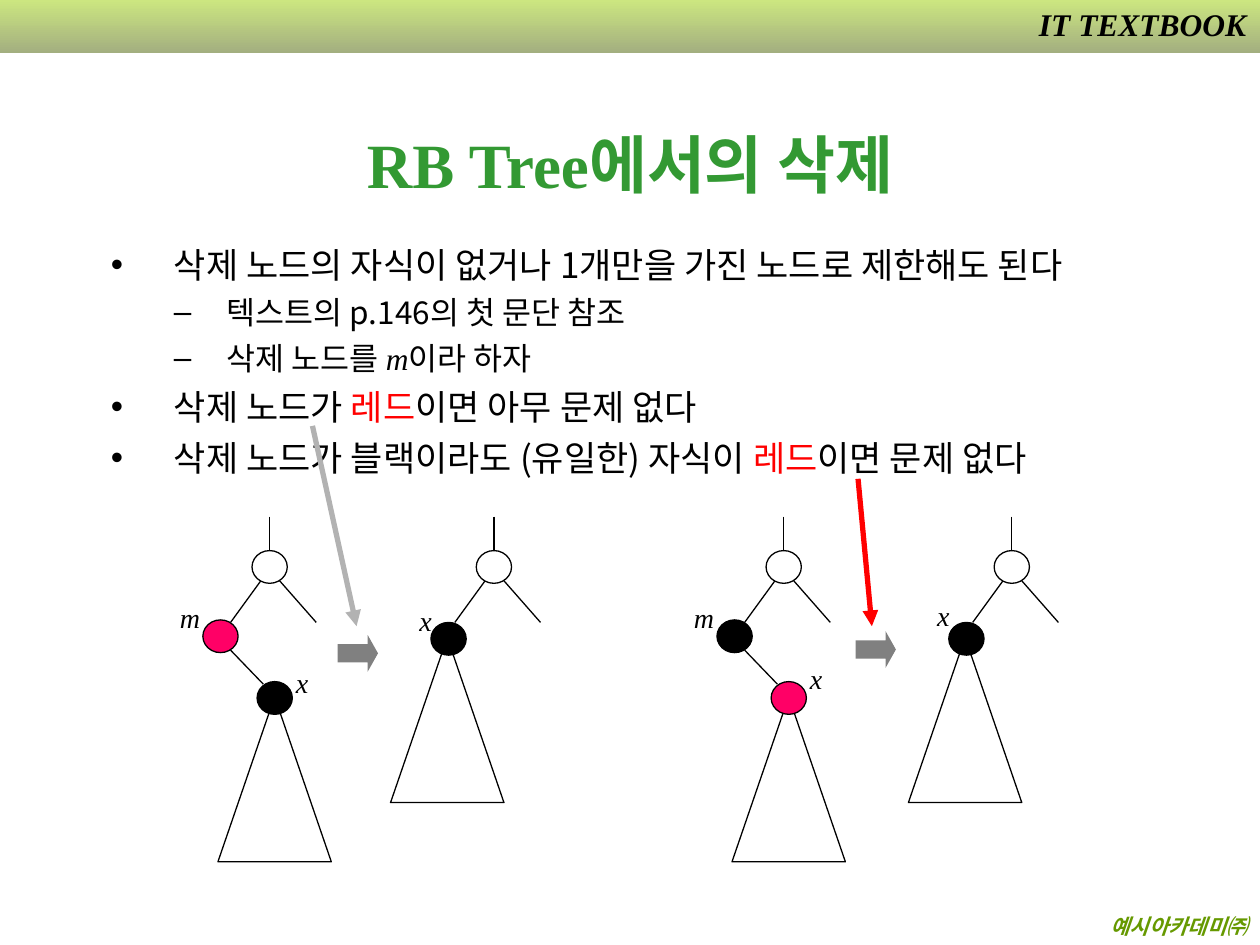
from dataclasses import dataclass

from lxml.etree import SubElement
from pptx import Presentation
from pptx.dml.color import RGBColor
from pptx.enum.shapes import MSO_CONNECTOR, MSO_SHAPE
from pptx.enum.text import MSO_ANCHOR, MSO_AUTO_SIZE, PP_ALIGN
from pptx.oxml import parse_xml
from pptx.oxml.ns import nsdecls, qn
from pptx.util import Inches, Pt

SERIF = "Times New Roman"
SANS = "Noto Sans CJK KR"
BLACK = "000000"
WHITE = "FFFFFF"
RED = "FF0000"
PINK = "FF0066"
NODE_WIDTH = 0.28
NODE_HEIGHT = 0.26
STEM_TOP = 4.1
ROOT_TOP = 4.37


@dataclass
class Item:
    level: int
    pieces: list


@dataclass
class Deletion:
    before_left: float
    after_left: float
    arrow_left: float
    arrow_top: float
    deleted_fill: str
    child_fill: str
    child_label_top: float
    after_label_top: float


ITEMS = [
    Item(0, ["삭제 노드의 자식이 없거나 1개만을 가진 노드로 제한해도 된다"]),
    Item(1, ["텍스트의 p.146의 첫 문단 참조"]),
    Item(1, ["삭제 노드를 ", "m", "이라 하자"]),
    Item(0, ["삭제 노드가 ", "레드", "이면 아무 문제 없다"]),
    Item(0, ["삭제 노드가 블랙이라도 (유일한) 자식이 ", "레드", "이면 문제 없다"]),
]
LEVELS = [(20, 0.5, -0.5, 5), (18, 0.92, -0.42, 4.5)]
DELETIONS = [
    Deletion(2.0, 3.78, 2.68, 5.04, PINK, BLACK, 5.23, 4.74),
    Deletion(6.08, 7.89, 6.79, 5.01, BLACK, PINK, 5.2, 4.7),
]


def color(value: str) -> RGBColor:
    return RGBColor.from_string(value)


def place(shape, left: float, top: float, width: float, height: float) -> None:
    shape.left, shape.top = Inches(left), Inches(top)
    shape.width, shape.height = Inches(width), Inches(height)


def style(paragraph, size: float, name: str, value: str, bold=False, italic=False) -> None:
    font = paragraph.font
    font.size, font.name = Pt(size), name
    font.bold, font.italic = bold, italic
    font.color.rgb = color(value)
    properties = paragraph._p.pPr.find(qn("a:defRPr"))
    SubElement(properties, qn("a:ea")).set("typeface", SANS)


def add_text(slide, text: str, left: float, top: float, width: float, height: float):
    box = slide.shapes.add_textbox(Inches(left), Inches(top), Inches(width), Inches(height))
    box.text_frame.word_wrap = True
    paragraph = box.text_frame.paragraphs[0]
    paragraph.text = text
    return paragraph


def add_label(slide, text: str, left: float, top: float) -> None:
    style(add_text(slide, text, left, top, 0.3, 0.37), 16, SERIF, BLACK, italic=True)


def add_preset(slide, kind, left: float, top: float, width: float, height: float, fill=None, line=None):
    shape = slide.shapes.add_shape(kind, Inches(left), Inches(top), Inches(width), Inches(height))
    shape.shadow.inherit = False
    if fill:
        shape.fill.solid()
        shape.fill.fore_color.rgb = color(fill)
    else:
        shape.fill.background()
    if line:
        shape.line.color.rgb = color(line)
        shape.line.width = Pt(0.75)
    else:
        shape.line.fill.background()
    return shape


def add_node(slide, left: float, top: float, fill: str) -> None:
    add_preset(slide, MSO_SHAPE.OVAL, left, top, NODE_WIDTH, NODE_HEIGHT, fill, BLACK)


def add_subtree(slide, left: float, top: float) -> None:
    add_preset(slide, MSO_SHAPE.ISOSCELES_TRIANGLE, left, top, 0.9, 1.31, line=BLACK)


def add_line(slide, start: tuple, end: tuple, value=BLACK, width=0.75, arrow=False) -> None:
    connector = slide.shapes.add_connector(
        MSO_CONNECTOR.STRAIGHT, *(Inches(number) for number in start + end)
    )
    connector.line.color.rgb = color(value)
    connector.line.width = Pt(width)
    properties = connector._element.spPr
    if arrow:
        SubElement(properties.find(qn("a:ln")), qn("a:tailEnd")).set("type", "triangle")
    SubElement(properties, qn("a:effectLst"))


def add_root(slide, left: float) -> None:
    add_node(slide, left, ROOT_TOP, WHITE)
    add_line(slide, (left + 0.14, STEM_TOP), (left + 0.14, ROOT_TOP))
    add_line(slide, (left + 0.07, 4.61), (left - 0.17, 4.94))
    add_line(slide, (left + 0.22, 4.61), (left + 0.51, 4.94))


def add_deletion(slide, deletion: Deletion) -> None:
    before, after = deletion.before_left, deletion.after_left
    add_node(slide, before - 0.39, 4.92, deletion.deleted_fill)
    add_subtree(slide, before - 0.27, 5.53)
    add_node(slide, before + 0.04, 5.41, deletion.child_fill)
    add_root(slide, before)
    add_line(slide, (before - 0.17, 5.16), (before + 0.09, 5.43))
    add_label(slide, "m", before - 0.67, 4.72)
    add_label(slide, "x", before + 0.25, deletion.child_label_top)

    add_subtree(slide, after - 0.68, 5.06)
    add_node(slide, after - 0.36, 4.94, BLACK)
    add_root(slide, after)
    add_label(slide, "x", after - 0.55, deletion.after_label_top)

    arrow = add_preset(
        slide, MSO_SHAPE.RIGHT_ARROW, deletion.arrow_left, deletion.arrow_top, 0.32, 0.29, "808080"
    )
    arrow.adjustments[1] = 0.28


def add_banner(slide) -> None:
    band = add_preset(slide, MSO_SHAPE.RECTANGLE, 0, 0, 10, 0.42)
    band.fill.gradient()
    band.fill.gradient_angle = 270
    for stop, value in zip(band.fill.gradient_stops, ("CCE680", "A3AF80")):
        stop.color.rgb = color(value)
    footer = add_text(slide, "예시아카데미㈜", 0.06, 7.2, 9.94, 0.3)
    footer.alignment = PP_ALIGN.RIGHT
    style(footer, 12, SERIF, "669900", bold=True, italic=True)
    series = add_text(slide, "IT TEXTBOOK", 7.88, -0.01, 2.11, 0.4)
    series.alignment = PP_ALIGN.RIGHT
    style(series, 18, SERIF, BLACK, bold=True, italic=True)
    shadow = parse_xml(
        f'<a:effectLst {nsdecls("a")}><a:outerShdw dist="17961" dir="2700000">'
        f'<a:srgbClr val="{WHITE}"/></a:outerShdw></a:effectLst>'
    )
    series.runs[0]._r.get_or_add_rPr().append(shadow)


def fill_title(title) -> None:
    place(title, 0.75, 0.67, 8.5, 1.25)
    frame = title.text_frame
    frame.auto_size = MSO_AUTO_SIZE.NONE
    frame.vertical_anchor = MSO_ANCHOR.MIDDLE
    paragraph = frame.paragraphs[0]
    paragraph.text = "RB Tree에서의 삭제"
    paragraph.alignment = PP_ALIGN.CENTER
    style(paragraph, 36, SERIF, "339933", bold=True)


def fill_body(body) -> None:
    place(body, 0.78, 1.88, 8.54, 2.01)
    frame = body.text_frame
    frame.auto_size = MSO_AUTO_SIZE.NONE
    for index, item in enumerate(ITEMS):
        paragraph = frame.add_paragraph() if index else frame.paragraphs[0]
        size, margin, indent, space = LEVELS[item.level]
        paragraph.level = item.level
        paragraph.space_before = Pt(space if index else 0)
        properties = paragraph._p.get_or_add_pPr()
        properties.set("marL", str(Inches(margin)))
        properties.set("indent", str(Inches(indent)))
        style(paragraph, size, SANS, BLACK)
        for piece in item.pieces:
            run = paragraph.add_run()
            run.text = piece
            if piece == "m":
                run.font.name, run.font.italic = SERIF, True
            elif piece == "레드":
                run.font.color.rgb = color(RED)


def main() -> None:
    presentation = Presentation()
    presentation.slide_width, presentation.slide_height = Inches(10), Inches(7.5)
    slide = presentation.slides.add_slide(presentation.slide_layouts[1])
    add_banner(slide)
    fill_title(slide.shapes.title)
    fill_body(slide.placeholders[1])
    for deletion in DELETIONS:
        add_deletion(slide, deletion)
    add_line(slide, (2.48, 3.38), (2.83, 4.97), "B2B2B2", 3, arrow=True)
    add_line(slide, (6.81, 3.8), (6.92, 4.97), RED, 3, arrow=True)
    presentation.save("out.pptx")


if __name__ == "__main__":
    main()
